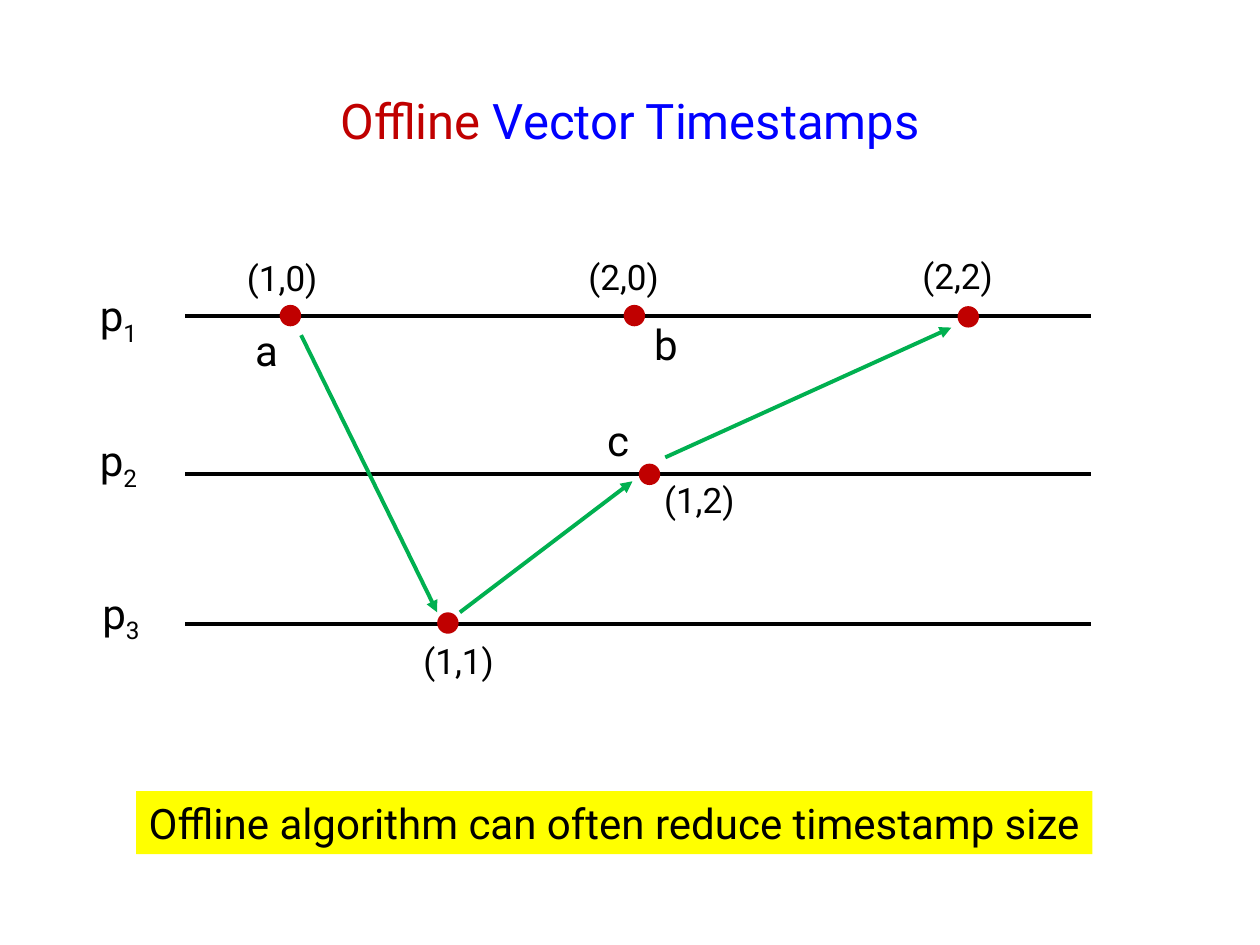
from pptx import Presentation
from pptx import util as u
from pptx.dml.color import RGBColor
from pptx.enum import shapes, text
from pptx.oxml.ns import qn
from lxml import etree

THEME = {
    "font": "Roboto", "ink": "000000", "accent": "C00000", "title": "0000FF",
    "message": "00B050", "banner": "FFFF00",
    "title_pt": 28, "body_pt": 24, "stamp_pt": 20, "line_pt": 2.25,
}

TITLE = [("Offline", "accent"), (" Vector Timestamps", "title")]
BANNER = "Offline algorithm can often reduce timestamp size"
LINE_X = (1.47, 8.66)
DOT = 0.17

# process number, timeline y, label left, label top
PROCESSES = [("1", 2.51, 0.68, 2.25), ("2", 3.76, 0.68, 3.4), ("3", 4.95, 0.7, 4.61)]
# event dot left, top
EVENTS = [(2.22, 2.42), (4.95, 2.42), (3.47, 4.86), (7.6, 2.43), (5.07, 3.68)]
# message start, end
MESSAGES = [((2.39, 2.66), (3.47, 4.86)),
            ((3.65, 4.86), (5.02, 3.82)),
            ((5.28, 3.63), (7.55, 2.6))]
# timestamp, left, top
STAMPS = [("(1,0)", 1.85, 1.99), ("(1,1)", 3.25, 5.03), ("(1,2)", 5.16, 3.75),
          ("(2,2)", 7.21, 1.97), ("(2,0)", 4.56, 1.98)]
# event name, left, top, width
NAMES = [("a", 1.92, 2.53, 0.39), ("c", 4.72, 3.24, 0.37), ("b", 5.09, 2.48, 0.39)]


def color(name):
    return RGBColor.from_string(THEME[name])


def add_run(p, words, size, ink="ink", subscript=False):
    r = p.add_run()
    r.text = words
    r.font.name = THEME["font"]
    r.font.size = u.Pt(THEME[size])
    r.font.color.rgb = color(ink)
    if subscript:
        r.font._element.set("baseline", "-25000")


def centred_paragraph(sp, wrap=False):
    tf = sp.text_frame
    tf.word_wrap = wrap
    tf.vertical_anchor = text.MSO_ANCHOR.MIDDLE if wrap else text.MSO_ANCHOR.TOP
    if not wrap:
        tf.auto_size = text.MSO_AUTO_SIZE.SHAPE_TO_FIT_TEXT
    p = tf.paragraphs[0]
    p.alignment = text.PP_ALIGN.CENTER
    return p


def add_text(s, x, y, w, h, wrap=False):
    """Add a text box and return its centred first paragraph."""
    return centred_paragraph(s.shapes.add_textbox(*map(u.Inches, (x, y, w, h))), wrap)


def add_filled(s, kind, x, y, w, h, fill):
    sp = s.shapes.add_shape(kind, *map(u.Inches, (x, y, w, h)))
    sp.shadow.inherit = False
    sp.fill.solid()
    sp.fill.fore_color.rgb = color(fill)
    sp.line.fill.background()
    return sp


def add_line(s, start, end, ink, arrow=False):
    line = s.shapes.add_connector(shapes.MSO_CONNECTOR.STRAIGHT,
                                  *map(u.Inches, (*start, *end)))
    line.line.color.rgb = color(ink)
    line.line.width = u.Pt(THEME["line_pt"])
    if arrow:
        etree.SubElement(line.line._get_or_add_ln(), qn("a:tailEnd"), type="triangle")
    etree.SubElement(line._element.spPr, qn("a:effectLst"))


def main():
    prs = Presentation()
    prs.slide_width, prs.slide_height = u.Inches(10), u.Inches(7.5)
    s = prs.slides.add_slide(prs.slide_layouts[6])

    p = add_text(s, 0.75, 0.33, 8.5, 1.25, wrap=True)
    for words, ink in TITLE:
        add_run(p, words, "title_pt", ink)

    banner = add_filled(s, shapes.MSO_SHAPE.RECTANGLE, 1.08, 6.28, 7.59, 0.5, "banner")
    add_run(centred_paragraph(banner), BANNER, "body_pt")

    for number, line_y, x, y in PROCESSES:
        add_line(s, (LINE_X[0], line_y), (LINE_X[1], line_y), "ink")
        p = add_text(s, x, y, 0.52, 0.5)
        add_run(p, "p", "body_pt")
        add_run(p, number, "body_pt", subscript=True)

    for x, y in EVENTS:
        add_filled(s, shapes.MSO_SHAPE.OVAL, x, y, DOT, DOT, "accent")
    for start, end in MESSAGES:
        add_line(s, start, end, "message", arrow=True)
    for words, x, y in STAMPS:
        add_run(add_text(s, x, y, 0.78, 0.44), words, "stamp_pt")
    for words, x, y, w in NAMES:
        add_run(add_text(s, x, y, w, 0.5), words, "body_pt")

    prs.save("out.pptx")


if __name__ == "__main__":
    main()
